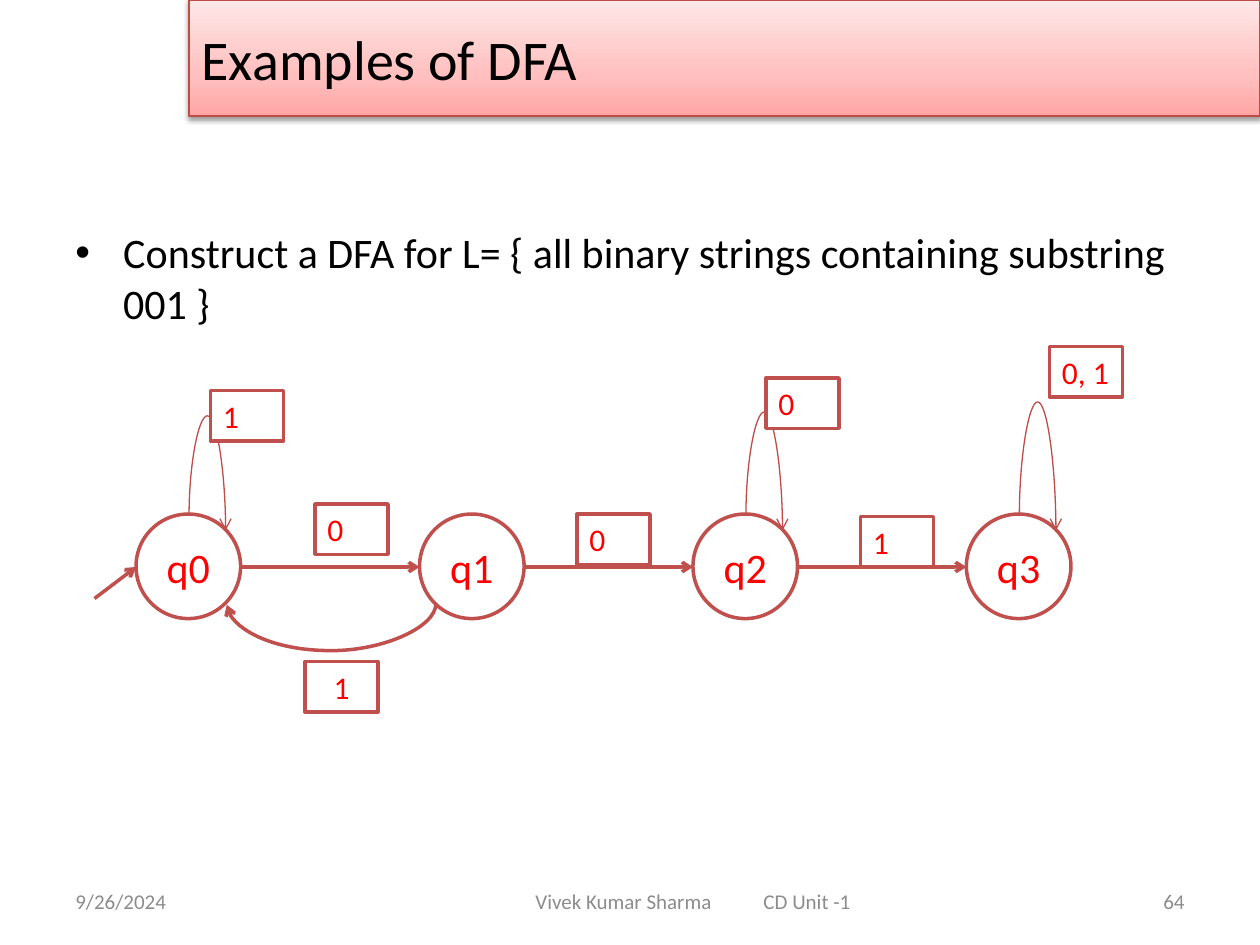
from copy import deepcopy
from typing import NamedTuple

from lxml.etree import SubElement
from pptx import Presentation
from pptx.dml.color import RGBColor
from pptx.enum.shapes import MSO_CONNECTOR as CXN, MSO_SHAPE as SHAPE
from pptx.enum.text import MSO_ANCHOR as ANCHOR, MSO_AUTO_SIZE as FIT, PP_ALIGN as ALIGN
from pptx.oxml.ns import qn
from pptx.util import Inches, Pt

RED, EDGE, INK, GREY = "C0504D", "BF4C48", "FF0000", "8C8C8C"
SIZE, TOP = 0.83, 4.08  # diameter and top of the states
MID = 4.5  # height of the straight transitions


class State(NamedTuple):
    name: str
    left: float


class Label(NamedTuple):
    text: str
    left: float
    top: float
    align: ALIGN = ALIGN.LEFT


class Bend(NamedTuple):
    x1: float
    y1: float
    x2: float
    y2: float
    peak: float
    color: str = EDGE
    width: float = 0.75


STATES = [State("q0", 1.08), State("q1", 3.33), State("q2", 5.5), State("q3", 7.67)]
LABELS = [
    Label("0", 2.5, 4), Label("0", 4.58, 4.08), Label("1", 6.83, 4.1),
    Label("1", 2.42, 5.25, ALIGN.CENTER),
    Label("1", 1.67, 3.1), Label("0", 6.08, 3), Label("0, 1", 8.33, 2.75),
]
LOOPS = [Bend(x, 4.09, x + 0.29, 4.21, peak)
         for x, peak in ((1.5, 3.3), (5.92, 3.27), (8.09, 3.19))]
RETURN = Bend(3.46, 4.79, 1.8, 4.8, 5.17, RED, 2)


def rgb(color: str) -> RGBColor:
    return RGBColor.from_string(color)


def write(sp, text: str, *, size: float, color: str, align=ALIGN.LEFT,
          anchor=ANCHOR.MIDDLE):
    """Put one formatted paragraph in a shape and return the paragraph."""
    tf = sp.text_frame
    tf.word_wrap, tf.auto_size, tf.vertical_anchor = True, FIT.NONE, anchor
    p = tf.paragraphs[0]
    p.alignment = align
    r = p.add_run()
    r.text = text
    r.font.name, r.font.size, r.font.color.rgb = "Calibri", Pt(size), rgb(color)
    return p


def add_text(s, box: tuple, text: str, **fmt):
    sp = s.shapes.add_textbox(*map(Inches, box))
    return sp, write(sp, text, **fmt)


def add_node(s, kind: SHAPE, box: tuple, text: str, **fmt) -> None:
    sp = s.shapes.add_shape(kind, *map(Inches, box))
    sp.shadow.inherit = False
    sp.fill.solid()
    sp.fill.fore_color.rgb = rgb("FFFFFF")
    sp.line.color.rgb, sp.line.width = rgb(RED), Pt(2)
    write(sp, text, color=INK, **fmt)


def add_arrow(s, kind: CXN, ends: tuple, color: str = RED, width: float = 2):
    c = s.shapes.add_connector(kind, *map(Inches, ends))
    c.line.color.rgb, c.line.width = rgb(color), Pt(width)
    SubElement(c.line._get_or_add_ln(), qn("a:tailEnd"), type="arrow")
    SubElement(c._element.spPr, qn("a:effectLst"))
    return c


def add_bend(s, b: Bend) -> None:
    """Curve that leaves and enters vertically, turning at the peak height."""
    w, h = b.y2 - b.y1, abs(b.x2 - b.x1)  # size before the quarter turn
    left, top = (b.x1 + b.x2 - w) / 2, (b.y1 + b.y2 - h) / 2
    c = add_arrow(s, CXN.CURVE, (left, top, left + w, top + h), b.color, b.width)
    xfrm = c._element.spPr.find(qn("a:xfrm"))
    rightward = b.x2 > b.x1
    xfrm.set("rot", str((270 if rightward else 90) * 60000))
    if rightward:
        xfrm.set("flipH", "1")
    guides = c._element.spPr.find(qn("a:prstGeom")).find(qn("a:avLst"))
    adj = round((b.peak - b.y1) / w * 100000)
    SubElement(guides, qn("a:gd"), name="adj1", fmla=f"val {adj}")


def add_title(s, text: str) -> None:
    sp = s.shapes.title
    sp.left, sp.top, sp.width, sp.height = map(Inches, (1.5, 0, 8.5, 0.92))
    write(sp, text, size=32, color="000000")
    sp.fill.gradient()
    sp.fill.gradient_angle = 90
    spPr = sp._element.spPr
    stops = spPr.find(qn("a:gradFill")).find(qn("a:gsLst"))
    stops.append(deepcopy(stops[-1]))
    colors = ((0, "FFA6A5"), (0.35, "FFC0BF"), (1, "FFE7E7"))
    for stop, (pos, color) in zip(sp.fill.gradient_stops, colors):
        stop.position, stop.color.rgb = pos, rgb(color)
    sp.line.color.rgb, sp.line.width = rgb(EDGE), Pt(0.75)
    # Soft shadow below the bar
    effects = SubElement(spPr, qn("a:effectLst"))
    shadow = SubElement(effects, qn("a:outerShdw"), blurRad=str(Pt(3.1)),
                        dist=str(Pt(1.6)), dir="5400000", rotWithShape="0")
    black = SubElement(shadow, qn("a:srgbClr"), val="000000")
    SubElement(black, qn("a:alpha"), val="38000")


def add_task(s, text: str) -> None:
    _, p = add_text(s, (0.5, 1.75, 9, 4.95), text, size=24, color="000000",
                    anchor=ANCHOR.TOP)
    pPr = p._p.get_or_add_pPr()
    pPr.set("marL", str(Inches(0.38)))
    pPr.set("indent", str(Inches(-0.38)))
    SubElement(pPr, qn("a:buFont"), typeface="Arial")
    SubElement(pPr, qn("a:buChar"), char="•")


def add_footer(s) -> None:
    small = dict(size=12, color=GREY)
    add_text(s, (0.5, 6.95, 2.33, 0.4), "9/26/2024", **small)
    sp, p = add_text(s, (2.75, 6.95, 5.5, 0.4), "Vivek Kumar Sharma\tCD Unit -1", **small)
    sp.text_frame.margin_left = Inches(1.5)
    tabs = SubElement(p._p.get_or_add_pPr(), qn("a:tabLst"))
    SubElement(tabs, qn("a:tab"), pos=str(Inches(1.81)), algn="l")
    add_text(s, (7.17, 6.95, 2.33, 0.4), "64", align=ALIGN.RIGHT, **small)


def add_automaton(s) -> None:
    for loop in LOOPS:
        add_bend(s, loop)
    for state in STATES:
        add_node(s, SHAPE.OVAL, (state.left, TOP, SIZE, SIZE), state.name,
                 size=24, align=ALIGN.CENTER)
    # Start arrow, forward transitions, then the way back to q0
    add_arrow(s, CXN.STRAIGHT, (0.75, 4.75, STATES[0].left, MID))
    for a, b in zip(STATES, STATES[1:]):
        add_arrow(s, CXN.STRAIGHT, (a.left + SIZE, MID, b.left, MID))
    add_bend(s, RETURN)
    for label in LABELS:
        add_node(s, SHAPE.RECTANGLE, (label.left, label.top, 0.58, 0.4), label.text,
                 size=18, align=label.align, anchor=ANCHOR.TOP)


def main() -> None:
    prs = Presentation()
    prs.slide_width, prs.slide_height = Inches(10), Inches(7.5)
    s = prs.slides.add_slide(prs.slide_layouts[5])
    add_title(s, "Examples of DFA")
    add_task(s, "Construct a DFA for L= { all binary strings containing substring 001 }")
    add_automaton(s)
    add_footer(s)
    prs.save("out.pptx")


if __name__ == "__main__":
    main()
